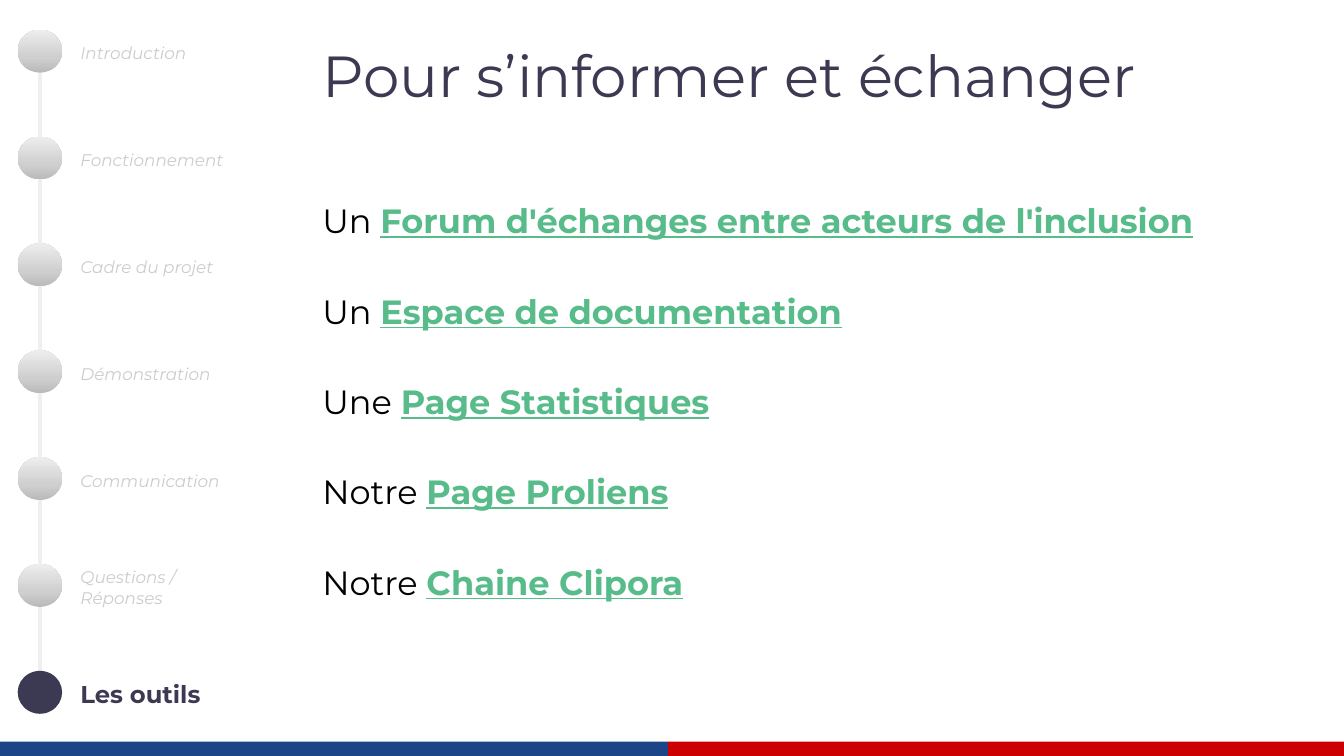
from copy import deepcopy

from pptx import Presentation
from pptx import util as u
from pptx.dml import color
from pptx.enum import shapes, text
from pptx.oxml import ns
from pptx.oxml import xmlchemy

Pt = u.Pt

# Content
TITLE = "Pour s’informer et échanger"
STEPS = ["Introduction", "Fonctionnement", "Cadre du projet", "Démonstration",
         "Communication", "Questions /\nRéponses", "Les outils"]
CURRENT_STEP = "Les outils"
RESOURCES = [
    ("Un ", "Forum d'échanges entre acteurs de l'inclusion"),
    ("Un ", "Espace de documentation"),
    ("Une ", "Page Statistiques"),
    ("Notre ", "Page Proliens"),
    ("Notre ", "Chaine Clipora"),
]

# Style and layout, in points
FONT = "Montserrat"
NAVY, GREEN, BLACK = "3C3A53", "57BB8A", "000000"
MUTED, RAIL = "CCCCCC", "EFEFEF"
SPHERE = [(0, "BABABA"), (0.35, "CFCFCF"), (1, "EDEDED")]
WIDTH, HEIGHT = 720, 405
FOOTER_TOP, FOOTER_SPLIT = 397.3, 358
DOT_CENTER, DOT_WIDTH, DOT_HEIGHT = 21.4, 23.8, 23
FIRST_STEP, STEP_GAP = 27.4, 57.25
LABEL_LEFT, LABEL_HEIGHT = 36, 36
CONTENT_LEFT = 165.6


def rgb(value):
    return color.RGBColor.from_string(value)


def add_run(paragraph, words, size=18, fill=BLACK, bold=False, italic=False,
            underline=False):
    run = paragraph.add_run()
    run.text = words
    font = run.font
    font.name, font.size = FONT, Pt(size)
    font.bold, font.italic, font.underline = bold, italic, underline
    font.color.rgb = rgb(fill)


def add_text_box(slide, left, top, width, height, margin=7.2,
                 anchor=text.MSO_ANCHOR.TOP):
    frame = slide.shapes.add_textbox(Pt(left), Pt(top), Pt(width), Pt(height)).text_frame
    frame.word_wrap = True
    frame.vertical_anchor = anchor
    frame.margin_left = frame.margin_right = Pt(7.2)
    frame.margin_top = frame.margin_bottom = Pt(margin)
    return frame


def add_shape(slide, kind, left, top, width, height, fill=None):
    shape = slide.shapes.add_shape(kind, Pt(left), Pt(top), Pt(width), Pt(height))
    shape.shadow.inherit = False
    shape.line.fill.background()
    if fill:
        shape.fill.solid()
        shape.fill.fore_color.rgb = rgb(fill)
    return shape


def fill_sphere(shape):
    shape.fill.gradient()
    shape.fill.gradient_angle = 90
    stops = shape._element.spPr.find(ns.qn("a:gradFill")).find(ns.qn("a:gsLst"))
    stops.insert(1, deepcopy(stops[0]))
    for stop, (position, value) in zip(shape.fill.gradient_stops, SPHERE):
        stop.position = position
        stop.color.rgb = rgb(value)


def add_footer(slide):
    for left, right, fill in [(0, FOOTER_SPLIT, "1C4587"), (FOOTER_SPLIT, WIDTH, "CC0000")]:
        add_shape(slide, shapes.MSO_SHAPE.RECTANGLE, left, FOOTER_TOP,
                  right - left, HEIGHT - FOOTER_TOP, fill)


def add_timeline(slide):
    centers = [FIRST_STEP + STEP_GAP * index for index in range(len(STEPS))]
    rail = slide.shapes.add_connector(shapes.MSO_CONNECTOR.STRAIGHT, Pt(DOT_CENTER),
                                      Pt(centers[0]), Pt(DOT_CENTER), Pt(centers[-1]))
    rail.line.color.rgb = rgb(RAIL)
    rail.line.width = Pt(2.5)
    rail._element.spPr.append(xmlchemy.OxmlElement("a:effectLst"))

    for step, center in zip(STEPS, centers):
        current = step == CURRENT_STEP
        dot = add_shape(slide, shapes.MSO_SHAPE.OVAL, DOT_CENTER - DOT_WIDTH / 2,
                        center - DOT_HEIGHT / 2, DOT_WIDTH, DOT_HEIGHT,
                        NAVY if current else None)
        if not current:
            fill_sphere(dot)
        frame = add_text_box(slide, LABEL_LEFT, center + 1 - LABEL_HEIGHT / 2, 110,
                             LABEL_HEIGHT, 3.6, text.MSO_ANCHOR.MIDDLE)
        for index, line in enumerate(step.split("\n")):
            paragraph = frame.add_paragraph() if index else frame.paragraphs[0]
            add_run(paragraph, line, size=13 if current else 9,
                    fill=NAVY if current else MUTED, bold=current, italic=not current)


def add_resources(slide):
    frame = add_text_box(slide, CONTENT_LEFT, 89.3, 530, 264)
    for index, (article, resource) in enumerate(RESOURCES):
        paragraph = frame.add_paragraph() if index else frame.paragraphs[0]
        paragraph.line_spacing = 1.5
        paragraph.space_before = Pt(16 if index else 0)
        add_run(paragraph, article)
        add_run(paragraph, resource, fill=GREEN, bold=True, underline=True)


def main():
    presentation = Presentation()
    presentation.slide_width, presentation.slide_height = Pt(WIDTH), Pt(HEIGHT)
    slide = presentation.slides.add_slide(presentation.slide_layouts[6])

    add_footer(slide)
    add_resources(slide)
    add_timeline(slide)

    # Title
    frame = add_text_box(slide, CONTENT_LEFT, 0, WIDTH - CONTENT_LEFT, 65.5,
                         anchor=text.MSO_ANCHOR.BOTTOM)
    add_run(frame.paragraphs[0], TITLE, size=31, fill=NAVY)

    presentation.save("out.pptx")


if __name__ == "__main__":
    main()
